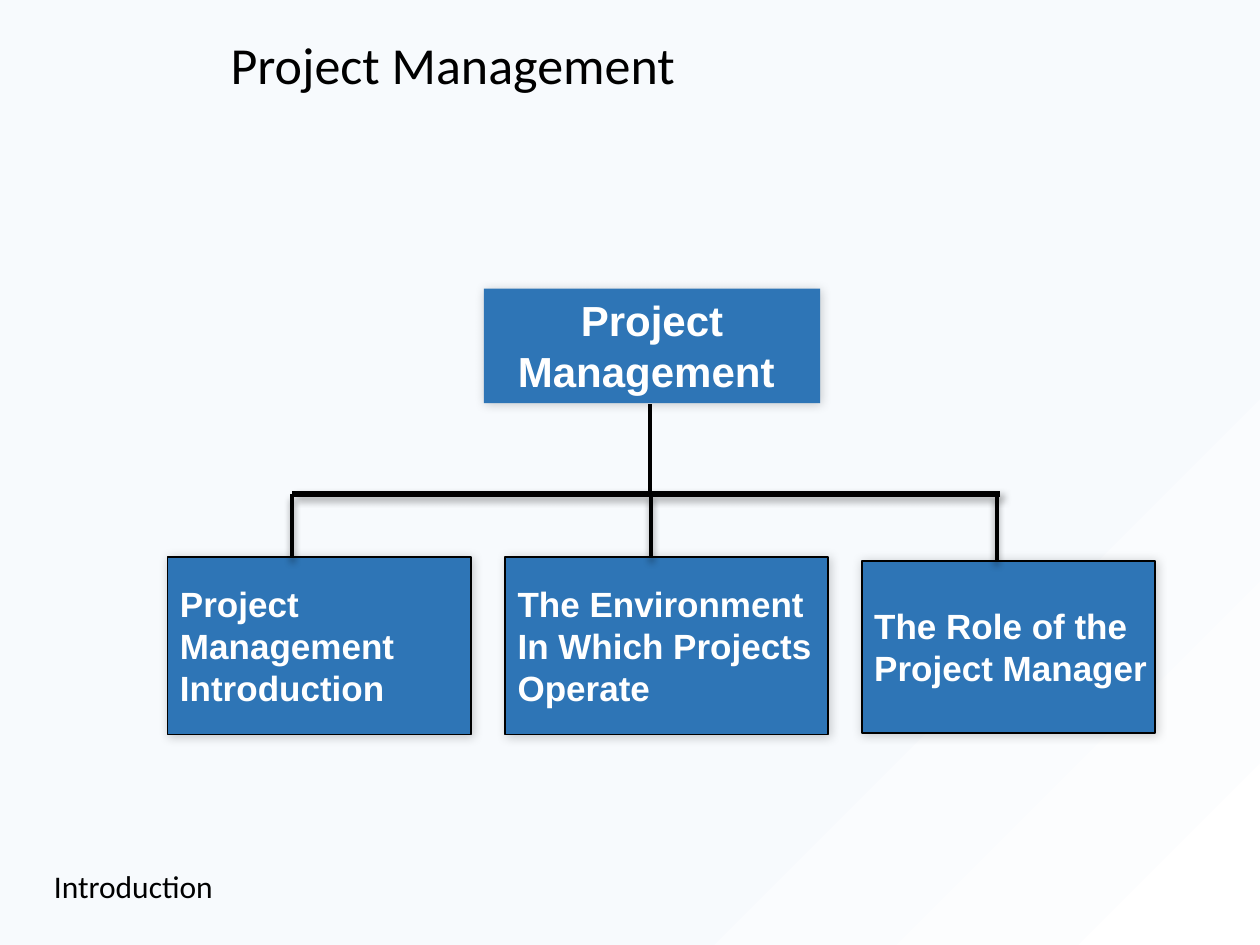
from dataclasses import dataclass

import lxml.etree
import pptx
import pptx.dml.color
import pptx.enum.shapes
import pptx.enum.text
import pptx.oxml.ns
import pptx.util

Inches = pptx.util.Inches
Align = pptx.enum.text.PP_ALIGN
Anchor = pptx.enum.text.MSO_ANCHOR
AutoSize = pptx.enum.text.MSO_AUTO_SIZE


@dataclass(frozen=True)
class Theme:
    background: str = "F7FAFD"
    corner: str = "FFFFFF"
    box: str = "2E75B6"
    ink: str = "000000"
    box_text: str = "FFFFFF"
    heading_font: str = "Calibri"
    box_font: str = "Arial"
    title_size: float = 29.7
    caption_size: float = 18
    root_size: float = 24
    branch_size: float = 20


def rgb(value):
    return pptx.dml.color.RGBColor.from_string(value)


def write_text(frame, text, *, font, size, color, bold=False, align=Align.LEFT,
               anchor=Anchor.TOP, wrap=True, auto_size=AutoSize.NONE, line_spacing=None):
    """Fill a text frame, one paragraph for each line of text."""
    frame.word_wrap = wrap
    frame.auto_size = auto_size
    frame.vertical_anchor = anchor
    for index, line in enumerate(text.split("\n")):
        paragraph = frame.add_paragraph() if index else frame.paragraphs[0]
        paragraph.alignment = align
        paragraph.line_spacing = line_spacing
        run = paragraph.add_run()
        run.text = line
        run.font.name = font
        run.font.size = pptx.util.Pt(size)
        run.font.bold = bold
        run.font.color.rgb = rgb(color)


def set_effects(shape, shadow=None):
    """Replace inherited effects; shadow is (opacity %, blur pt, distance pt, degrees)."""
    qn = pptx.oxml.ns.qn
    effects = lxml.etree.SubElement(shape._element.spPr, qn("a:effectLst"))
    if shadow:
        opacity, blur, distance, angle = shadow
        outer = lxml.etree.SubElement(
            effects, qn("a:outerShdw"), blurRad=str(pptx.util.Pt(blur)),
            dist=str(pptx.util.Pt(distance)), dir=str(angle * 60000),
            algn="ctr", rotWithShape="0")
        color = lxml.etree.SubElement(outer, qn("a:srgbClr"), val="000000")
        lxml.etree.SubElement(color, qn("a:alpha"), val=str(opacity * 1000))


class ChartSlide:
    def __init__(self, presentation, theme):
        self.theme = theme
        self.slide = presentation.slides.add_slide(presentation.slide_layouts[5])

    def background(self):
        fill = self.slide.background.fill
        fill.gradient()
        fill.gradient_angle = 315
        colors = (self.theme.background, self.theme.corner)
        for stop, color, position in zip(fill.gradient_stops, colors, (0.67, 1)):
            stop.color.rgb = rgb(color)
            stop.position = position

    def title(self, text, left, top, width, height):
        title = self.slide.shapes.title
        title.left, title.top = Inches(left), Inches(top)
        title.width, title.height = Inches(width), Inches(height)
        write_text(title.text_frame, text, font=self.theme.heading_font,
                   size=self.theme.title_size, color=self.theme.ink,
                   anchor=Anchor.MIDDLE, line_spacing=0.9)

    def caption(self, text, left, top, width, height):
        box = self.slide.shapes.add_textbox(*map(Inches, (left, top, width, height)))
        write_text(box.text_frame, text, font=self.theme.heading_font,
                   size=self.theme.caption_size, color=self.theme.ink,
                   auto_size=AutoSize.SHAPE_TO_FIT_TEXT)

    def box(self, text, left, top, width, height, *, outlined=True, **text_format):
        box = self.slide.shapes.add_shape(
            pptx.enum.shapes.MSO_SHAPE.RECTANGLE,
            *map(Inches, (left, top, width, height)))
        box.fill.solid()
        box.fill.fore_color.rgb = rgb(self.theme.box)
        if outlined:
            box.line.color.rgb = rgb(self.theme.ink)
            box.line.width = pptx.util.Pt(1)
        else:
            box.line.fill.background()
        set_effects(box, (20, 6, 1, 45))
        write_text(box.text_frame, text, font=self.theme.box_font,
                   color=self.theme.box_text, bold=True, **text_format)

    def line(self, start, end, *, width=2.25, shadow=None):
        line = self.slide.shapes.add_connector(
            pptx.enum.shapes.MSO_CONNECTOR.STRAIGHT, *map(Inches, (*start, *end)))
        line.line.color.rgb = rgb(self.theme.ink)
        line.line.width = pptx.util.Pt(width)
        set_effects(line, shadow)


def main():
    presentation = pptx.Presentation()
    presentation.slide_width, presentation.slide_height = Inches(10), Inches(7.5)
    theme = Theme()
    chart = ChartSlide(presentation, theme)
    chart.background()
    chart.title("Project Management", 1.73, 0.25, 9.42, 0.58)
    chart.caption("Introduction", 0.33, 6.83, 1.58, 0.4)

    chart.box("Project Management ", 3.84, 2.29, 2.67, 0.91, outlined=False,
              size=theme.root_size, align=Align.CENTER,
              auto_size=AutoSize.SHAPE_TO_FIT_TEXT)

    bar_y = 3.92
    chart.line((5.16, 3.21), (5.16, bar_y))
    # text, left, top, width, height, stem x
    branches = [
        ("Project\nManagement\nIntroduction", 1.33, 4.42, 2.41, 1.41, 2.32),
        ("The Environment\nIn Which Projects\nOperate", 4.01, 4.42, 2.56, 1.41, 5.17),
        ("The Role of the\nProject Manager", 6.84, 4.45, 2.33, 1.37, 7.91),
    ]
    for text, left, top, width, height, stem_x in branches:
        chart.box(text, left, top, width, height, size=theme.branch_size,
                  anchor=Anchor.MIDDLE, wrap=False)
        chart.line((stem_x, top), (stem_x, bar_y), shadow=(40, 4, 3, 90))
    chart.line((2.32, bar_y), (7.94, bar_y), width=3, shadow=(40, 4, 3, 45))

    presentation.save("out.pptx")


if __name__ == "__main__":
    main()
